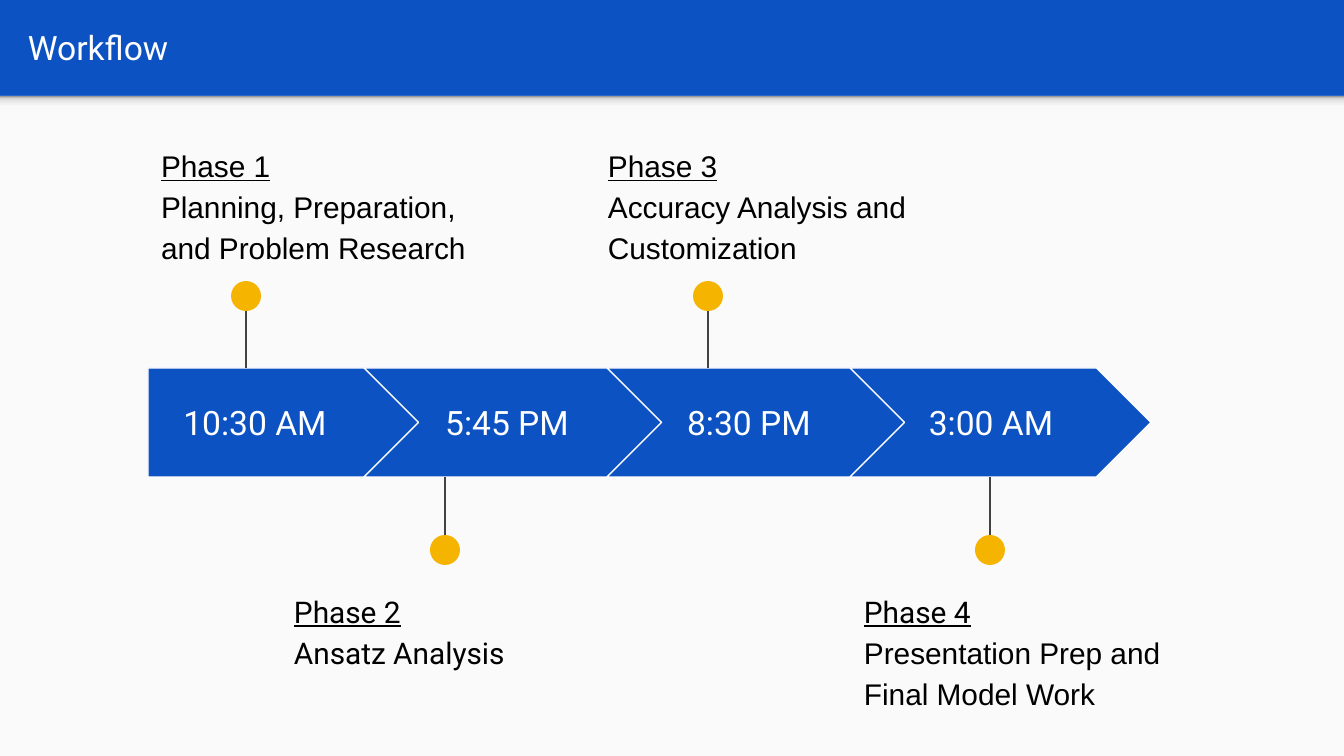
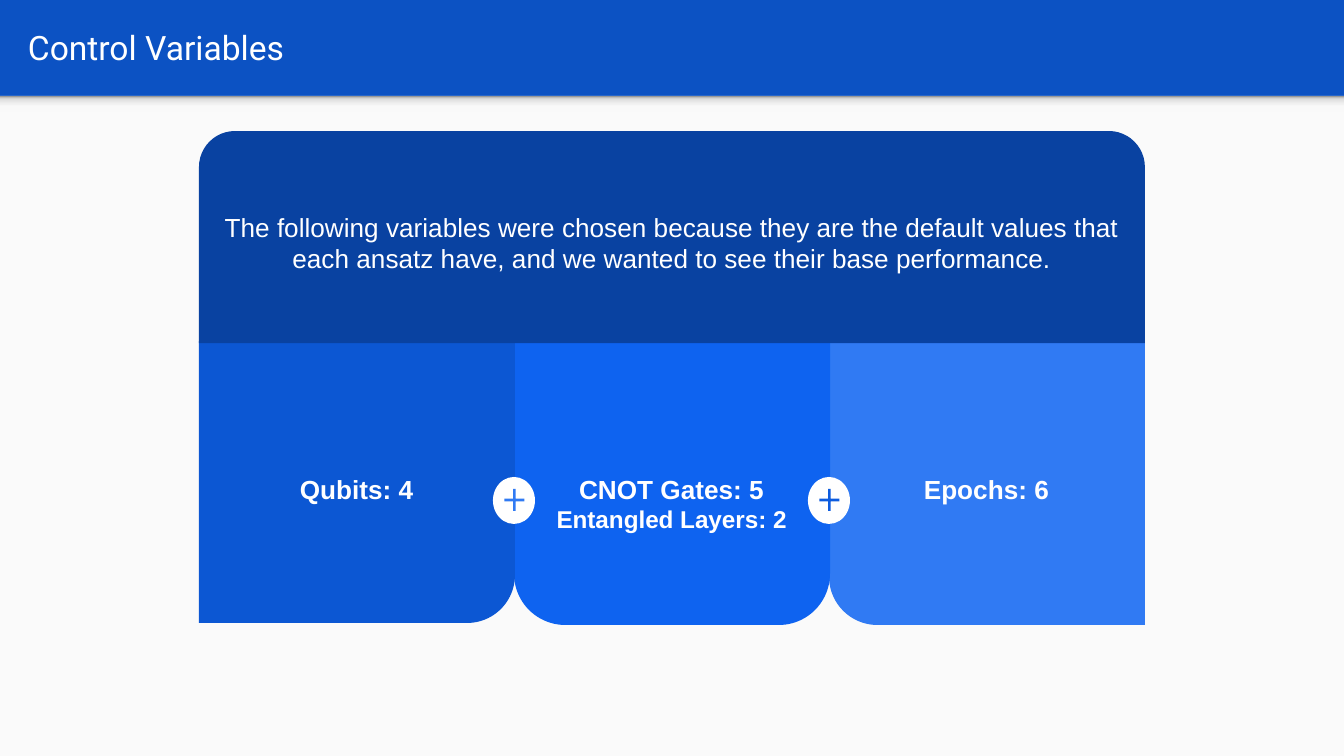
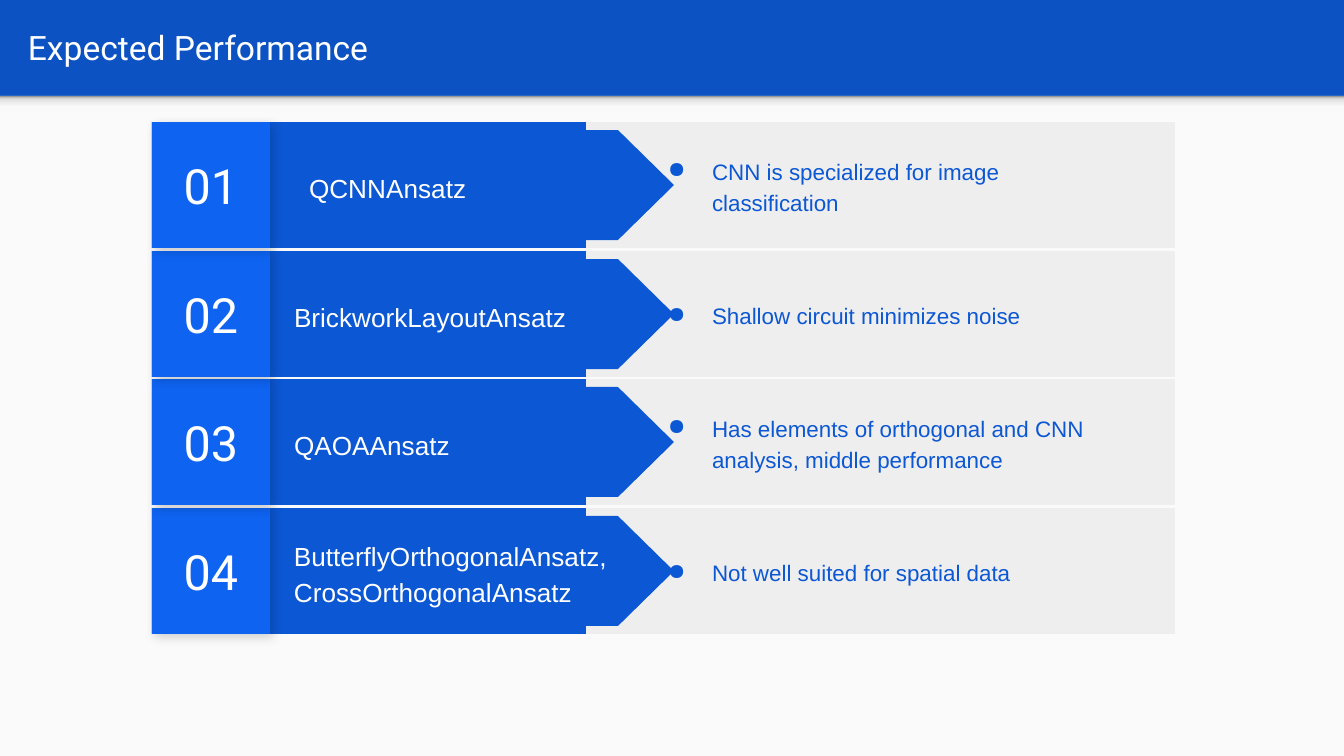
from pptx import Presentation
from pptx.dml.color import RGBColor
from pptx.enum.shapes import MSO_CONNECTOR, MSO_SHAPE
from pptx.enum.text import MSO_ANCHOR, PP_ALIGN
from pptx.oxml import parse_xml
from pptx.oxml.ns import nsdecls, qn
from pptx.oxml.xmlchemy import OxmlElement
from pptx.util import Pt

SCALE = 9144000 / 1344
INSET = 13
COLORS = {
    "band": "0C52C3", "sheet": "FAFAFA", "white": "FFFFFF", "black": "000000",
    "stem": "424242", "amber": "F4B400", "navy": "0942A1", "royal": "0C57D3",
    "cobalt": "0D5CDF", "bright": "0E63F0", "sky": "307AF3", "grey": "EEEEEE",
}
FADE = ((0, "F9F9F9"), (36, "F9F9F9"), (80, "DEDEDE"), (100, "999999"))
TOP, MIDDLE = MSO_ANCHOR.TOP, MSO_ANCHOR.MIDDLE


def px(length):
    """Turn pixels into EMU."""
    return round(length * SCALE)


def rgb(name):
    """Look up a named colour."""
    return RGBColor.from_string(COLORS[name])


def write(shape, text, *, size, font="Arial", color="white", bold=False, underline=False,
          align=PP_ALIGN.LEFT, spacing=None, after=None, bullet=None):
    """Add a formatted paragraph to a shape and return it."""
    frame = shape.text_frame
    paragraph = frame.paragraphs[0] if not frame.text else frame.add_paragraph()
    paragraph.alignment = align
    if spacing:
        paragraph.line_spacing = spacing
    if after:
        paragraph.space_after = Pt(after)
    if bullet:
        properties = paragraph._p.get_or_add_pPr()
        properties.set("marL", str(px(67)))
        properties.set("indent", str(px(-44)))
        properties.append(parse_xml(
            f'<a:buClr {nsdecls("a")}><a:srgbClr val="{COLORS[color]}"/></a:buClr>'))
        properties.append(parse_xml(f'<a:buChar {nsdecls("a")} char="{bullet}"/>'))
    run = paragraph.add_run()
    run.text = text
    run.font.size = Pt(size)
    run.font.name = font
    run.font.bold = bold
    run.font.underline = underline
    run.font.color.rgb = rgb(color)
    return paragraph


class Deck:
    """Hold the shared style and the current slide."""

    def __init__(self):
        self.show = Presentation()
        self.show.slide_width, self.show.slide_height = px(1344), px(756)
        self.slide = None

    def start(self, title):
        """Open a slide with its band, sheet, shade and title."""
        self.slide = self.show.slides.add_slide(self.show.slide_layouts[6])
        background = self.slide.background.fill
        background.solid()
        background.fore_color.rgb = rgb("band")
        self.shape(MSO_SHAPE.RECTANGLE, 0, 96, 1344, 660, "sheet")
        self.shade()
        write(self.box(15, 3, 1297, 89, MIDDLE), title, size=18, font="Roboto")

    def frame(self, shape, anchor):
        """Set wrapping, anchor and insets of a text frame."""
        frame = shape.text_frame
        frame.word_wrap = True
        frame.vertical_anchor = anchor
        frame.margin_left = frame.margin_right = px(INSET)
        frame.margin_top = frame.margin_bottom = px(INSET)

    def box(self, left, top, width, height, anchor=TOP):
        """Add an empty text box."""
        box = self.slide.shapes.add_textbox(px(left), px(top), px(width), px(height))
        self.frame(box, anchor)
        return box

    def shape(self, preset, left, top, width, height, fill=None, outline=None,
              adjust=(), turn=0, flip=False):
        """Add a preset shape."""
        shape = self.slide.shapes.add_shape(preset, px(left), px(top), px(width), px(height))
        shape.shadow.inherit = False
        shape.rotation = turn
        if flip:
            shape.element.spPr.get_or_add_xfrm().set("flipH", "1")
        for index, value in enumerate(adjust):
            shape.adjustments[index] = value
        if fill:
            shape.fill.solid()
            shape.fill.fore_color.rgb = rgb(fill)
        if outline:
            shape.line.color.rgb = rgb(outline)
            shape.line.width = Pt(0.75)
        else:
            shape.line.fill.background()
        self.frame(shape, MIDDLE)
        return shape

    def shade(self):
        """Add the fading strip under the title band."""
        strip = self.shape(MSO_SHAPE.RECTANGLE, 0, 96, 1344, 16)
        stops = "".join(f'<a:gs pos="{place * 1000}"><a:srgbClr val="{color}"/></a:gs>'
                        for place, color in FADE)
        strip.element.spPr.find(qn("a:prstGeom")).addnext(parse_xml(
            f'<a:gradFill {nsdecls("a")}><a:gsLst>{stops}</a:gsLst>'
            '<a:lin ang="16200000" scaled="0"/></a:gradFill>'))

    def cast_shadow(self, shape):
        """Give a shape a soft shadow to the lower right."""
        shape.element.spPr.find(qn("a:effectLst")).append(parse_xml(
            f'<a:outerShdw {nsdecls("a")} blurRad="{Pt(5.6)}" dist="{Pt(2.2)}" dir="2700000">'
            f'<a:srgbClr val="{COLORS["black"]}"><a:alpha val="17000"/></a:srgbClr>'
            '</a:outerShdw>'))

    def stem(self, x, start, end):
        """Add a thin vertical line."""
        stem = self.slide.shapes.add_connector(
            MSO_CONNECTOR.STRAIGHT, px(x), px(start), px(x), px(end))
        stem.line.color.rgb = rgb("stem")
        stem.line.width = Pt(0.75)
        stem.element.spPr.append(OxmlElement("a:effectLst"))

    def pin(self, x, above):
        """Add a stem with a dot, above or below the timeline."""
        if above:
            self.stem(x, 288, 368)
        else:
            self.stem(x, 558, 477)
        self.shape(MSO_SHAPE.OVAL, x - 15, 281 if above else 535, 30, 30, "amber")

    def plus(self, x):
        """Add a plus sign on a white disc, centred on x."""
        self.shape(MSO_SHAPE.OVAL, x - 21, 477, 42, 47, "white")
        return self.shape(MSO_SHAPE.MATH_PLUS, x - 13, 485, 27, 30, "sky", adjust=[0.1])


def workflow(deck):
    """Build the timeline of four phases."""
    deck.start("Workflow")
    phases = (
        ("10:30 AM", 246, 148, 351, "Arial", "Arial",
         "Planning, Preparation, and Problem Research"),
        ("5:45 PM", 445, 281, 329, "Roboto", "Roboto", "Ansatz Analysis"),
        ("8:30 PM", 708, 595, 329, "Arial", "Arial", "Accuracy Analysis and Customization"),
        ("3:00 AM", 990, 851, 329, "Roboto", "Arial", "Presentation Prep and Final Model Work"),
    )
    for index, (time, pin, left, width, name_font, task_font, task) in enumerate(phases):
        if index == 0:
            preset, step, step_width, time_left, time_width = MSO_SHAPE.PENTAGON, 148, 275, 148, 214
        else:
            preset, step, step_width = MSO_SHAPE.CHEVRON, 121 + 243 * index, 301
            time_left, time_width = 168 + 242 * index, 194
        deck.shape(preset, step, 368, step_width, 109, "band", "white", [0.5])
        write(deck.box(time_left, 388, time_width, 69, MIDDLE), time, size=18,
              font="Roboto", align=PP_ALIGN.CENTER)
        above = index % 2 == 0
        deck.pin(pin, above)
        label = deck.box(left, 129 if above else 575, width, 133)
        write(label, f"Phase {index + 1}", size=16, font=name_font, color="black",
              underline=True, spacing=1.15)
        write(label, task, size=16, font=task_font, color="black", spacing=1.15, after=16)


def control_variables(deck):
    """Build the header and its three joined cards."""
    deck.start("Control Variables")
    cards = (
        (MSO_SHAPE.ROUND_1_RECTANGLE, "royal", [0.17], True, 341, 282, 235, ["Qubits: 4"]),
        (MSO_SHAPE.ROUND_2_SAME_RECTANGLE, "bright", [0.18, 0], False, 340, 285, 273,
         ["CNOT Gates: 5", "Entangled Layers: 2"]),
        (MSO_SHAPE.ROUND_1_RECTANGLE, "sky", [0.17], False, 340, 285, 235, ["Epochs: 6"]),
    )
    card_width, pitch = 316, 315
    for index, card in reversed(list(enumerate(cards))):
        preset, fill, adjust, flip, top, height, label_width, lines = card
        left = 199 + pitch * index
        deck.shape(preset, left, top, card_width, height, fill, adjust=adjust, turn=180, flip=flip)
        label = deck.box(left + (card_width - label_width) // 2, 460, label_width, 83)
        for line, size in zip(lines, (14, 13)):
            write(label, line, size=size, bold=True, align=PP_ALIGN.CENTER)
    deck.plus(199 + pitch)
    deck.plus(199 + 2 * pitch).fill.fore_color.rgb = rgb("cobalt")
    header = deck.shape(MSO_SHAPE.ROUND_2_SAME_RECTANGLE, 199, 131, 946, 212, "navy",
                        adjust=[0.17, 0])
    write(header, "The following variables were chosen because they are the default values "
          "that each ansatz have, and we wanted to see their base performance.",
          size=14, align=PP_ALIGN.CENTER)


def expected_performance(deck):
    """Build the four numbered rows, lowest first."""
    deck.start("Expected Performance")
    rows = (
        ("QCNNAnsatz", 296, 333, "CNN is specialized for image classification"),
        ("BrickworkLayoutAnsatz", 281, 333, "Shallow circuit minimizes noise"),
        ("QAOAAnsatz", 281, 333,
         "Has elements of orthogonal and CNN analysis, middle performance"),
        ("ButterflyOrthogonalAnsatz,CrossOrthogonalAnsatz", 281, 347,
         "Not well suited for spatial data"),
    )
    height = 126
    for index, (ansatz, left, width, reason) in reversed(list(enumerate(rows))):
        top = 122 + round(128.6 * index)
        deck.shape(MSO_SHAPE.RECTANGLE, 519, top, 656, height, "grey")
        deck.shape(MSO_SHAPE.RECTANGLE, 270, top, 316, height, "royal")
        deck.shape(MSO_SHAPE.FLOWCHART_OFFPAGE_CONNECTOR, 479, top - 77, 110, 280, "royal",
                   turn=270)
        write(deck.box(left, top + 15, width, 97, MIDDLE), ansatz, size=14, spacing=1.15)
        deck.cast_shadow(deck.shape(MSO_SHAPE.RECTANGLE, 152, top, 118, height, "cobalt"))
        number = deck.shape(MSO_SHAPE.RECTANGLE, 152, top, 118, height, "bright")
        write(number, f"{index + 1:02}", size=26, font="Roboto", align=PP_ALIGN.CENTER)
        write(deck.box(632, top, 509, height, MIDDLE), reason, size=12, color="royal",
              spacing=1.15, bullet="●")


def main():
    """Build and save the deck."""
    deck = Deck()
    workflow(deck)
    control_variables(deck)
    expected_performance(deck)
    deck.show.save("out.pptx")


if __name__ == "__main__":
    main()
